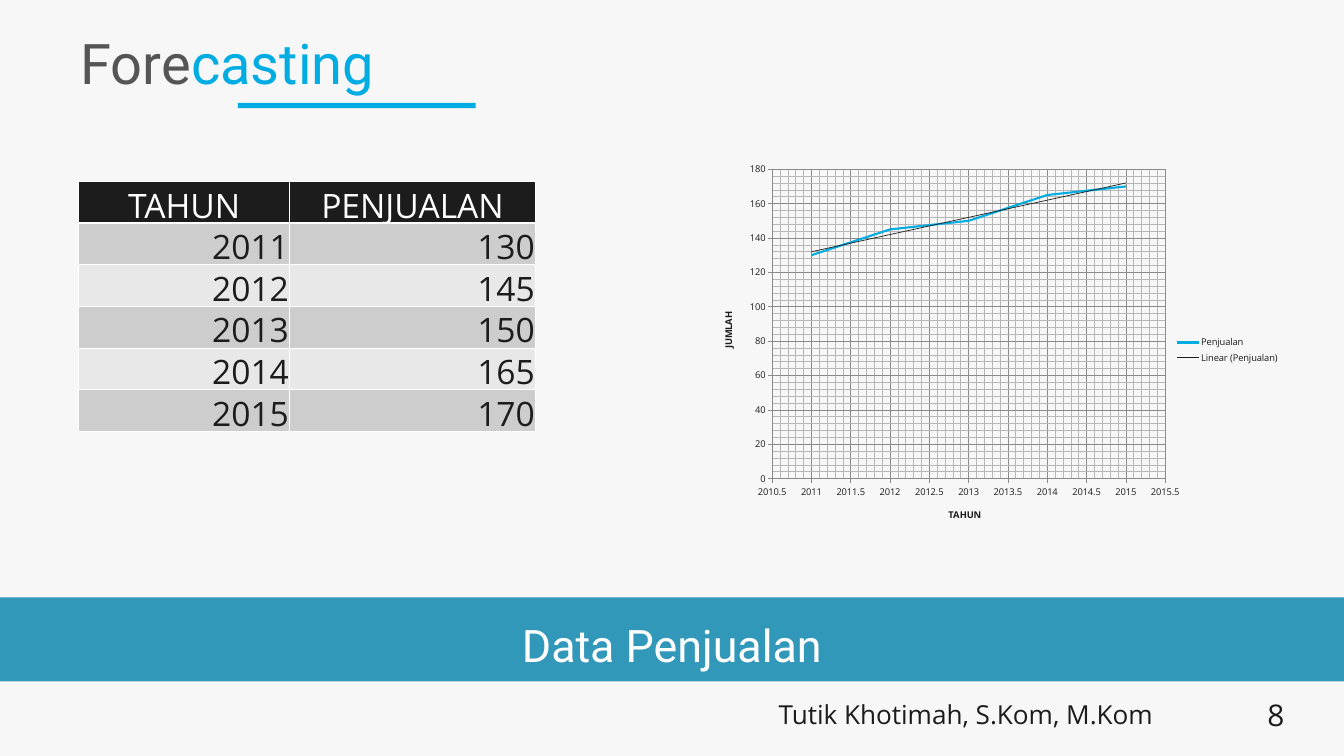
from lxml.etree import SubElement
from pptx import Presentation
from pptx.chart.data import XyChartData
from pptx.dml.color import RGBColor
from pptx.enum.chart import XL_CHART_TYPE, XL_LEGEND_POSITION, XL_TICK_MARK
from pptx.enum.shapes import MSO_SHAPE
from pptx.enum.text import MSO_ANCHOR, MSO_AUTO_SIZE, PP_ALIGN
from pptx.oxml import parse_xml
from pptx.oxml.ns import nsdecls, qn
from pptx.util import Pt

PX = 9144  # 100 px to the inch
COLORS = {
    "background": "F7F7F7", "accent": "00ACE2", "band": "0081AA",
    "title": "555555", "ink": "1C1C1C", "white": "FFFFFF",
    "dark_row": "CDCDCD", "light_row": "E8E8E8",
    "major_grid": "8B8B8B", "minor_grid": "B7B7B7",
}
HEADING_FONT, BODY_FONT = "Roboto", "Open Sans"
SALES = {2011: 130, 2012: 145, 2013: 150, 2014: 165, 2015: 170}


def rgb(name):
    return RGBColor.from_string(COLORS[name])


def emu(*lengths):
    return [length * PX for length in lengths]


def set_font(font, family, size, color, bold=False):
    font.name, font.size, font.bold = family, Pt(size), bold
    font.color.rgb = rgb(color)


def set_margins(part, left, top, right, bottom):
    part.margin_left, part.margin_top, part.margin_right, part.margin_bottom = emu(
        left, top, right, bottom)


def line_xml(tag, width, color):
    return (f'<a:{tag} {nsdecls("a")} w="{Pt(width)}"><a:solidFill>'
            f'<a:srgbClr val="{COLORS[color]}"/></a:solidFill></a:{tag}>')


def add_bar(slide, box, color):
    bar = slide.shapes.add_shape(MSO_SHAPE.RECTANGLE, *emu(*box))
    bar.shadow.inherit = False
    bar.fill.solid()
    bar.fill.fore_color.rgb = rgb(color)
    bar.line.fill.background()
    return bar


# Title with its underline
def add_heading(slide, box):
    left, top, width, height = box
    add_bar(slide, (left + 252, top + 126, 354, 8), "accent")
    title = slide.shapes.title
    title.left, title.top, title.width, title.height = emu(*box)
    frame = title.text_frame
    frame.auto_size = MSO_AUTO_SIZE.NONE
    frame.vertical_anchor = MSO_ANCHOR.MIDDLE
    set_margins(frame, 18, 9, 18, 9)
    paragraph = frame.paragraphs[0]
    paragraph.alignment = PP_ALIGN.LEFT
    for text, color in (("Fore", "title"), ("casting", "accent")):
        run = paragraph.add_run()
        run.text = text
        set_font(run.font, HEADING_FONT, 60, color)


# Translucent band with the caption
def add_caption_band(slide, box):
    band = add_bar(slide, box, "band")
    fill_color = band._element.spPr.find(qn("a:solidFill"))[0]
    SubElement(fill_color, qn("a:alpha"), val="80000")
    frame = band.text_frame
    frame.vertical_anchor = MSO_ANCHOR.MIDDLE
    set_margins(frame, 18, 9, 18, 9)
    caption = frame.paragraphs[0]
    caption.text = "Data Penjualan"
    caption.alignment = PP_ALIGN.CENTER
    caption.line_spacing = 1.2
    set_font(caption.font, HEADING_FONT, 48, "white")


def add_footer_text(slide, box, text, size):
    frame = slide.shapes.add_textbox(*emu(*box)).text_frame
    frame.word_wrap = True
    paragraph = frame.paragraphs[0]
    paragraph.text = text
    set_font(paragraph.font, BODY_FONT, size, "ink")


# Author and page number
def add_footer(slide, box):
    left, top, width, height = box
    add_footer_text(slide, (left, top + 3, 633, height), "Tutik Khotimah, S.Kom, M.Kom", 28)
    add_footer_text(slide, (left + width - 118, top, 118, height), "8", 32)


def set_borders(cell, bottom_width):
    properties = cell._tc.get_or_add_tcPr()
    for side, width in (("L", 1), ("R", 1), ("T", 1), ("B", bottom_width)):
        properties.append(parse_xml(line_xml(f"ln{side}", width, "white")))


# Sales per year as a table
def add_sales_table(slide, box):
    rows = [("TAHUN", "PENJUALAN"), *SALES.items()]
    table = slide.shapes.add_table(len(rows), 2, *emu(*box)).table
    for column, width in zip(table.columns, emu(314, 366)):
        column.width = width
    for row_index, values in enumerate(rows):
        table.rows[row_index].height = 62 * PX
        header = row_index == 0
        fill = "ink" if header else ("light_row", "dark_row")[row_index % 2]
        for column_index, value in enumerate(values):
            cell = table.cell(row_index, column_index)
            set_borders(cell, 3 if header else 1)
            cell.fill.solid()
            cell.fill.fore_color.rgb = rgb(fill)
            cell.vertical_anchor = MSO_ANCHOR.BOTTOM
            set_margins(cell, 1, 1, 1, 0)
            paragraph = cell.text_frame.paragraphs[0]
            paragraph.text = str(value)
            paragraph.alignment = PP_ALIGN.CENTER if header else PP_ALIGN.RIGHT
            set_font(paragraph.font, BODY_FONT, 36, "white" if header else "ink")


def format_axis(axis, title, low, high, major, minor):
    axis.minimum_scale, axis.maximum_scale = low, high
    axis.major_unit, axis.minor_unit = major, minor
    axis.major_tick_mark = XL_TICK_MARK.CROSS
    axis.minor_tick_mark = XL_TICK_MARK.NONE
    axis.has_major_gridlines = axis.has_minor_gridlines = True
    for line in (axis.major_gridlines.format.line, axis.format.line):
        line.color.rgb = rgb("major_grid")
        line.width = Pt(0.75)
    axis._element.find(qn("c:minorGridlines")).append(parse_xml(
        f'<c:spPr {nsdecls("c")}>{line_xml("ln", 0.75, "minor_grid")}</c:spPr>'))
    axis.tick_labels.number_format = "General"
    axis.tick_labels.number_format_is_linked = False
    paragraph = axis.axis_title.text_frame.paragraphs[0]
    paragraph.text = title
    set_font(paragraph.font, BODY_FONT, 10, "ink", bold=True)


def add_linear_trend(series):
    trend = parse_xml(
        f'<c:trendline {nsdecls("c")}><c:spPr>{line_xml("ln", 0.75, "ink")}</c:spPr>'
        '<c:trendlineType val="linear"/><c:dispRSqr val="0"/><c:dispEq val="0"/></c:trendline>')
    series._element.find(qn("c:xVal")).addprevious(trend)


def set_plot_box(chart, x, y, w, h):
    plot_area = chart._chartSpace.chart.plotArea
    for old_layout in plot_area.findall(qn("c:layout")):
        plot_area.remove(old_layout)
    sizes = "".join(f'<c:{key} val="{value}"/>' for key, value in zip("xywh", (x, y, w, h)))
    plot_area.insert(0, parse_xml(
        f'<c:layout {nsdecls("c")}><c:manualLayout><c:layoutTarget val="inner"/>'
        f'<c:xMode val="edge"/><c:yMode val="edge"/>{sizes}</c:manualLayout></c:layout>'))


# Sales per year as a chart with its trend
def add_sales_chart(slide, box):
    data = XyChartData()
    sales = data.add_series("Penjualan")
    for year, amount in SALES.items():
        sales.add_data_point(year, amount)
    chart = slide.shapes.add_chart(
        XL_CHART_TYPE.XY_SCATTER_LINES_NO_MARKERS, *emu(*box), data).chart
    set_font(chart.font, BODY_FONT, 10, "ink")
    chart.has_title = False
    chart.has_legend = True
    chart.legend.position = XL_LEGEND_POSITION.RIGHT
    chart.legend.include_in_layout = False
    format_axis(chart.category_axis, "TAHUN", 2010.5, 2015.5, 0.5, 0.1)
    format_axis(chart.value_axis, "JUMLAH", 0, 180, 20, 4)
    plot = chart.plots[0]
    plot.vary_by_categories = False
    series = plot.series[0]
    series.smooth = False
    series.format.line.color.rgb = rgb("accent")
    series.format.line.width = Pt(2.25)
    add_linear_trend(series)
    set_plot_box(chart, 0.15, 0.05, 0.65, 0.77)


def main():
    presentation = Presentation()
    presentation.slide_width, presentation.slide_height = emu(2000, 1125)
    slide = presentation.slides.add_slide(presentation.slide_layouts[5])
    slide.background.fill.solid()
    slide.background.fill.fore_color.rgb = rgb("background")
    add_heading(slide, (102, 27, 1798, 132))
    add_footer(slide, (1149, 1032, 845, 60))
    add_caption_band(slide, (0, 889, 2000, 125))
    add_sales_table(slide, (117, 270, 680, 372))
    add_sales_chart(slide, (1014, 222, 900, 598))
    presentation.save("out.pptx")


if __name__ == "__main__":
    main()
